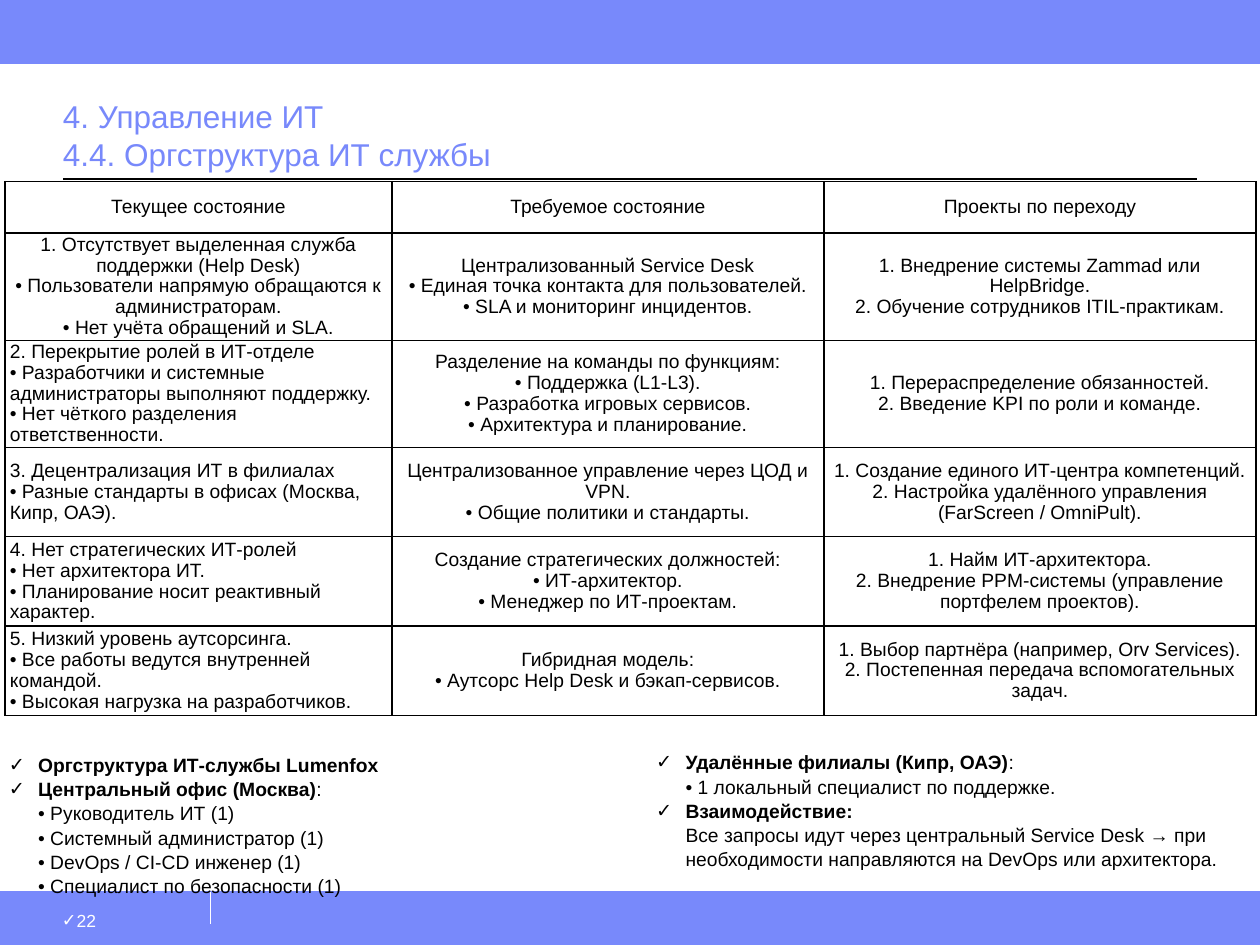
from copy import deepcopy
from dataclasses import dataclass

from lxml.etree import SubElement
from pptx import Presentation
from pptx.dml.color import RGBColor
from pptx.enum.shapes import MSO_CONNECTOR, MSO_SHAPE
from pptx.enum.text import MSO_ANCHOR, PP_ALIGN
from pptx.oxml import parse_xml
from pptx.oxml.ns import nsdecls, qn
from pptx.util import Cm, Pt

COLORS = {"accent": "7889FB", "white": "FFFFFF", "black": "000000"}
WIDTH, HEIGHT = 25.4, 19.05
FOOTER_TOP = 17.98


@dataclass
class Band:
    top: float
    height: float


@dataclass
class Rule:
    start: tuple[float, float]
    end: tuple[float, float]
    color: str
    weight: float


@dataclass
class Span:
    text: str
    bold: bool = False


@dataclass
class Style:
    size: int
    color: str
    align: PP_ALIGN = PP_ALIGN.LEFT
    spacing: float = 1.0
    bullet_indent: float | None = None


@dataclass
class TextBlock:
    place: tuple[float, float, float, float]
    margins: tuple[float, float, float, float]
    paragraphs: list[list[Span]]
    style: Style
    anchor: MSO_ANCHOR = MSO_ANCHOR.TOP


BANDS = [Band(FOOTER_TOP, HEIGHT - FOOTER_TOP), Band(0, 1.27)]
RULES = [
    Rule((4.24, 18.62), (4.24, FOOTER_TOP), "white", 0.75),
    Rule((0, 1.07), (WIDTH, 1.07), "accent", 0.5),
    Rule((0, FOOTER_TOP), (WIDTH, FOOTER_TOP), "accent", 0.5),
    Rule((1.27, 3.61), (24.13, 3.61), "black", 0.75),
]

NOTE_STYLE = Style(11, "black", spacing=1.05, bullet_indent=0.59)
NOTE_MARGINS = (0.1, 0.1, 0.1, 0.1)
TEXT_BLOCKS = [
    TextBlock((0.84, 18.16, 3.38, 0.89), (0.41, 0.18, 0.25, 0.13),
              [[Span("22")]], Style(10, "white", bullet_indent=0)),
    TextBlock((1.27, 1.27, 22.86, 2.34), (0, 0.13, 0, 0.13),
              [[Span("4. Управление ИТ")], [Span("4.4. Оргструктура ИТ службы")]],
              Style(18, "accent"), MSO_ANCHOR.BOTTOM),
    TextBlock((0.08, 15.06, 11.63, 3.1), NOTE_MARGINS, [
        [Span("Оргструктура ИТ-службы Lumenfox", True)],
        [Span("Центральный офис (Москва)", True),
         Span(":\n• Руководитель ИТ (1)\n• Системный администратор (1)\n"
              "• DevOps / CI-CD инженер (1)\n• Специалист по безопасности (1)")],
    ], NOTE_STYLE),
    TextBlock((13.13, 15.01, 12.06, 2.77), NOTE_MARGINS, [
        [Span("Удалённые филиалы (Кипр, ОАЭ)", True),
         Span(":\n• 1 локальный специалист по поддержке.")],
        [Span("Взаимодействие:\n", True),
         Span("Все запросы идут через центральный Service Desk → при "
              "необходимости направляются на DevOps или архитектора.")],
    ], NOTE_STYLE),
]

COLUMN_WIDTHS = [7.8, 8.71, 8.71]
ROW_HEIGHTS = [1.04, 2.16, 2.16, 1.8, 1.8, 1.8]
ROWS = [
    ("Текущее состояние", "Требуемое состояние", "Проекты по переходу"),
    ("1. Отсутствует выделенная служба поддержки (Help Desk)\n"
     "• Пользователи напрямую обращаются к администраторам.\n"
     "• Нет учёта обращений и SLA.",
     "Централизованный Service Desk\n• Единая точка контакта для пользователей.\n"
     "• SLA и мониторинг инцидентов.",
     "1. Внедрение системы Zammad или HelpBridge.\n"
     "2. Обучение сотрудников ITIL-практикам."),
    ("2. Перекрытие ролей в ИТ-отделе\n"
     "• Разработчики и системные администраторы выполняют поддержку.\n"
     "• Нет чёткого разделения ответственности.",
     "Разделение на команды по функциям:\n• Поддержка (L1-L3).\n"
     "• Разработка игровых сервисов.\n• Архитектура и планирование.",
     "1. Перераспределение обязанностей.\n2. Введение KPI по роли и команде."),
    ("3. Децентрализация ИТ в филиалах\n"
     "• Разные стандарты в офисах (Москва, Кипр, ОАЭ).",
     "Централизованное управление через ЦОД и VPN.\n• Общие политики и стандарты.",
     "1. Создание единого ИТ-центра компетенций.\n"
     "2. Настройка удалённого управления (FarScreen / OmniPult)."),
    ("4. Нет стратегических ИТ-ролей\n• Нет архитектора ИТ.\n"
     "• Планирование носит реактивный характер.",
     "Создание стратегических должностей:\n• ИТ-архитектор.\n"
     "• Менеджер по ИТ-проектам.",
     "1. Найм ИТ-архитектора.\n"
     "2. Внедрение PPM-системы (управление портфелем проектов)."),
    ("5. Низкий уровень аутсорсинга.\n• Все работы ведутся внутренней командой.\n"
     "• Высокая нагрузка на разработчиков.",
     "Гибридная модель:\n• Аутсорс Help Desk и бэкап-сервисов.",
     "1. Выбор партнёра (например, Orv Services).\n"
     "2. Постепенная передача вспомогательных задач."),
]


def color_of(name: str) -> RGBColor:
    return RGBColor.from_string(COLORS[name])


def apply_format(target, values: dict) -> None:
    for name, value in values.items():
        setattr(target, name, value)


def set_margins(target, margins: tuple[float, float, float, float]) -> None:
    sides = ("margin_left", "margin_top", "margin_right", "margin_bottom")
    apply_format(target, {side: Cm(length) for side, length in zip(sides, margins)})


def write_span(para, span: Span, style: Style) -> None:
    font_format = {"name": "Arial", "size": Pt(style.size), "bold": span.bold}
    for index, line in enumerate(span.text.split("\n")):
        if index:
            para.add_line_break()
            last_break = para._p.findall(qn("a:br"))[-1]
            last_break.append(deepcopy(para.runs[-1]._r.rPr))
        if line:
            run = para.add_run()
            run.text = line
            apply_format(run.font, font_format)
            run.font.color.rgb = color_of(style.color)


def write_text(frame, paragraphs: list[list[Span]], style: Style) -> None:
    for index, spans in enumerate(paragraphs):
        para = frame.add_paragraph() if index else frame.paragraphs[0]
        apply_format(para, {"alignment": style.align, "line_spacing": style.spacing})
        if style.bullet_indent is not None:
            properties = para._p.get_or_add_pPr()
            indent = Cm(style.bullet_indent)
            properties.set("marL", str(indent))
            properties.set("indent", str(-indent))
            SubElement(properties, qn("a:buFont"), typeface="Arial")
            SubElement(properties, qn("a:buChar"), char="✓")
        for span in spans:
            write_span(para, span, style)


def draw_band(page, band: Band) -> None:
    shape = page.shapes.add_shape(MSO_SHAPE.RECTANGLE, Cm(0), Cm(band.top),
                                  Cm(WIDTH), Cm(band.height))
    shape.shadow.inherit = False
    shape.fill.solid()
    shape.fill.fore_color.rgb = color_of("accent")
    shape.line.color.rgb = color_of("accent")
    shape.line.width = Pt(0.75)


def draw_rule(page, rule: Rule) -> None:
    points = [Cm(length) for length in rule.start + rule.end]
    line = page.shapes.add_connector(MSO_CONNECTOR.STRAIGHT, *points)
    line.line.color.rgb = color_of(rule.color)
    line.line.width = Pt(rule.weight)
    SubElement(line._element.spPr, qn("a:effectLst"))


def draw_text(page, block: TextBlock) -> None:
    box = page.shapes.add_textbox(*[Cm(length) for length in block.place])
    frame = box.text_frame
    apply_format(frame, {"word_wrap": True, "vertical_anchor": block.anchor})
    set_margins(frame, block.margins)
    write_text(frame, block.paragraphs, block.style)


def add_borders(cell) -> None:
    properties = cell._tc.get_or_add_tcPr()
    for index, side in enumerate(("lnL", "lnR", "lnT", "lnB")):
        properties.insert(index, parse_xml(
            f'<a:{side} {nsdecls("a")} w="{Pt(1)}"><a:solidFill>'
            f'<a:srgbClr val="{COLORS["black"]}"/></a:solidFill></a:{side}>'))


def draw_table(page) -> None:
    table = page.shapes.add_table(
        len(ROWS), len(COLUMN_WIDTHS), Cm(0.1), Cm(3.66),
        Cm(sum(COLUMN_WIDTHS)), Cm(sum(ROW_HEIGHTS))).table
    apply_format(table, {"first_row": False, "horz_banding": False})
    for column, width in zip(table.columns, COLUMN_WIDTHS):
        column.width = Cm(width)
    for row_index, texts in enumerate(ROWS):
        table.rows[row_index].height = Cm(ROW_HEIGHTS[row_index])
        for column_index, text in enumerate(texts):
            cell = table.cell(row_index, column_index)
            cell.fill.background()
            cell.vertical_anchor = MSO_ANCHOR.MIDDLE
            set_margins(cell, (0.1, 0, 0.1, 0))
            add_borders(cell)
            is_left = column_index == 0 and row_index > 1
            align = PP_ALIGN.LEFT if is_left else PP_ALIGN.CENTER
            write_text(cell.text_frame, [[Span(text)]],
                       Style(11, "black", align, 0.97))


def main() -> None:
    deck = Presentation()
    apply_format(deck, {"slide_width": Cm(WIDTH), "slide_height": Cm(HEIGHT)})
    page = deck.slides.add_slide(deck.slide_layouts[6])
    for band in BANDS:
        draw_band(page, band)
    for rule in RULES:
        draw_rule(page, rule)
    draw_table(page)
    for block in TEXT_BLOCKS:
        draw_text(page, block)
    deck.save("out.pptx")


if __name__ == "__main__":
    main()
